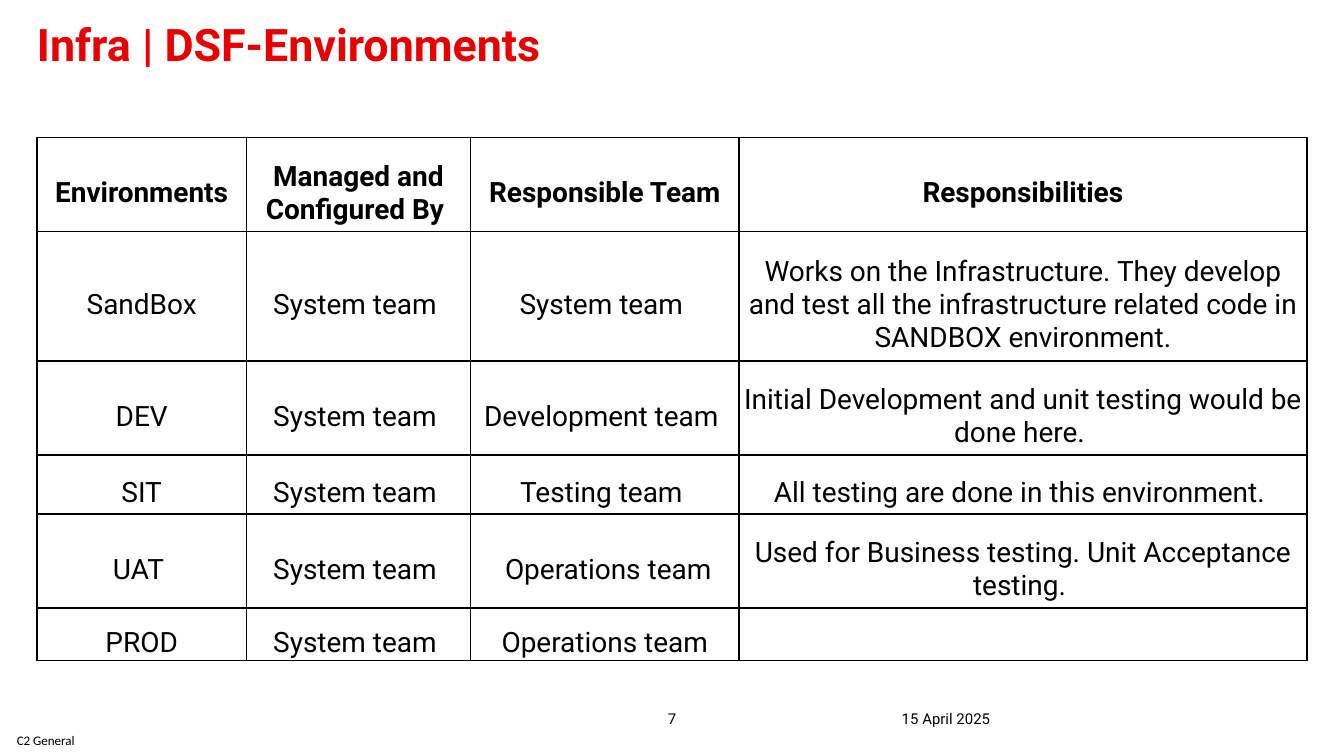
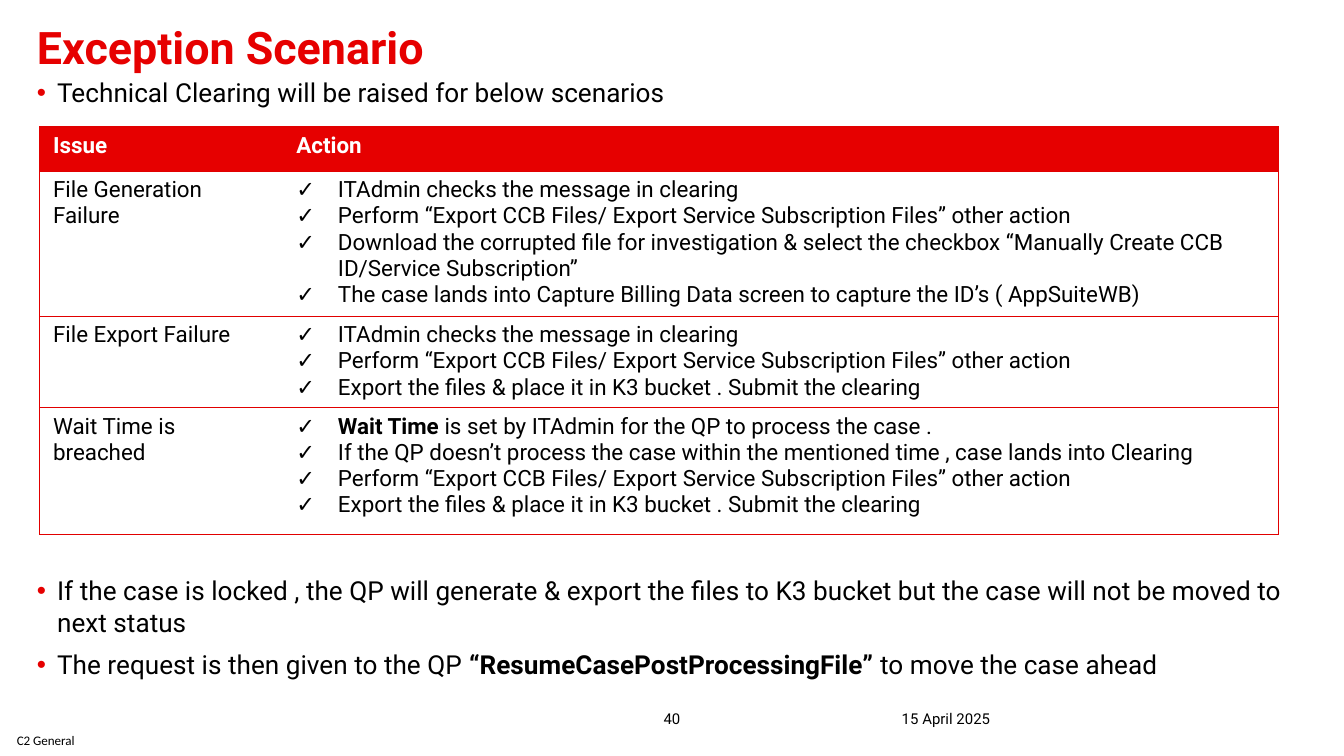
from lxml.etree import SubElement
from pptx import Presentation
from pptx.dml.color import RGBColor
from pptx.enum.text import MSO_ANCHOR, PP_ALIGN
from pptx.oxml.ns import qn
from pptx.util import Inches, Pt

ENVIRONMENTS = {
    "title": "Infra | DSF-Environments",
    "number": "7",
    "title_box": (2.75, 3.56, 71.5, 13),
    "table_box": (2.75, 18.2, 94.5, 69.2),
    "cols": [1.56, 1.67, 2, 4.23],
    "rows": [0.7, 0.96, 0.7, 0.44, 0.7, 0.39],
    "cells": [
        ["Environments", "Managed and Configured By ", "Responsible Team", "Responsibilities"],
        ["SandBox", "System team ", "System team ",
         "Works on the Infrastructure. They develop and test all the infrastructure "
         "related code in SANDBOX environment."],
        ["DEV", "System team ", "Development team ",
         "Initial Development and unit testing would be done here. "],
        ["SIT", "System team ", "Testing team ", "All testing are done in this environment. "],
        ["UAT ", "System team ", " Operations team",
         "Used for Business testing. Unit Acceptance testing. "],
        ["PROD", "System team ", "Operations team", ""],
    ],
}

CHECK = "ITAdmin checks the message in clearing"
PERFORM = "Perform “Export CCB Files/ Export Service Subscription Files” other action"
EXPORT = "Export the files & place it in K3 bucket . Submit the clearing"
EXCEPTIONS = {
    "title": "Exception Scenario",
    "number": "40",
    "title_box": (2.75, 4, 71.5, 6.05),
    "table_box": (2.95, 16.8, 92.2, 49.07),
    "cols": [1.81, 7.41],
    "rows": [0.33, 0.91, 0.58, 0.94],
    "cells": [
        ["Issue", "Action"],
        ["File Generation Failure", [
            CHECK, PERFORM,
            "Download the corrupted file for investigation & select the checkbox "
            "“Manually Create CCB ID/Service Subscription”",
            "The case lands into Capture Billing Data screen to capture the ID’s ( AppSuiteWB)"]],
        ["File Export Failure", [CHECK, PERFORM, EXPORT]],
        ["Wait Time is breached", [
            "*Wait Time *is set by ITAdmin for the QP to process the case .",
            "If the QP doesn’t process the case within the mentioned time , "
            "case lands into Clearing",
            PERFORM, EXPORT]],
    ],
    "notes": [
        ((2.75, 10.14, 94.5, 5.5), ["Technical Clearing will be raised for below scenarios"]),
        ((2.75, 76, 94.5, 15), [
            "If the case is locked , the QP will generate & export the files to K3 bucket "
            "but the case will not be moved to next status",
            "The request is then given to the QP *“ResumeCasePostProcessingFile” *"
            "to move the case ahead"]),
    ],
}

THEME = {
    "red": "E60000", "rule": "E10000", "black": "000000", "white": "FFFFFF",
    "font": "Roboto", "label_font": "Calibri",
    "title": 24, "note": 14, "footer": 8, "label": 7,
}
GRID_STYLE = {
    "size": 15, "head": "black", "fill": None, "rule": "black", "width": 1,
    "inner": True, "align": PP_ALIGN.CENTER, "anchor": MSO_ANCHOR.MIDDLE,
    "margins": (0.01, 0.13, 0.01, 0),
}
ISSUE_STYLE = {
    "size": 12, "head": "white", "fill": "red", "rule": "rule", "width": 0.75,
    "inner": False, "align": PP_ALIGN.LEFT, "anchor": MSO_ANCHOR.TOP,
    "margins": (0.1, 0.04, 0.1, 0.04),
}
FOOTERS = [
    ((0, 95.91, 6.8, 4.09), "C2 General", "label", "label_font", PP_ALIGN.CENTER, MSO_ANCHOR.MIDDLE),
    ((67.1, 91.64, 23.3, 4.63), "15 April 2025", "footer", "font", PP_ALIGN.LEFT, MSO_ANCHOR.BOTTOM),
    ((47.75, 91.64, 4.5, 4.63), None, "footer", "font", PP_ALIGN.CENTER, MSO_ANCHOR.BOTTOM),
]
MARGINS = ("margin_left", "margin_top", "margin_right", "margin_bottom")

prs = Presentation()
prs.slide_width = Inches(10)
prs.slide_height = prs.slide_width * 9 // 16


def assign(obj, **values):
    for name, value in values.items():
        setattr(obj, name, value)


def place(box):
    sides = (prs.slide_width, prs.slide_height) * 2
    return [int(side * share / 100) for side, share in zip(sides, box)]


def color(name):
    return RGBColor.from_string(THEME[name])


def bullet(p, char, indent, tint=None):
    pPr = p._p.get_or_add_pPr()
    pPr.set("marL", str(Inches(indent)))
    pPr.set("indent", str(-Inches(indent)))
    if tint:
        SubElement(SubElement(pPr, qn("a:buClr")), qn("a:srgbClr"), val=THEME[tint])
    SubElement(pPr, qn("a:buFont"), typeface="Arial")
    SubElement(pPr, qn("a:buChar"), char=char)


def write(tf, lines, size, ink="black", bold=False, font="font", mark=None, **layout):
    for i, line in enumerate(lines):
        p = tf.paragraphs[0] if i == 0 else tf.add_paragraph()
        assign(p, **layout)
        if mark:
            bullet(p, *mark)
        for j, part in enumerate(line.split("*")):
            if part:
                r = p.add_run()
                r.text = part
                assign(r.font, size=Pt(size), name=THEME[font], bold=bold or j % 2 == 1)
                r.font.color.rgb = color(ink)


def frame(sp, anchor):
    tf = sp.text_frame
    assign(tf, word_wrap=True, vertical_anchor=anchor, **dict.fromkeys(MARGINS, 0))
    return tf


def add_text(s, box, lines, size, anchor=MSO_ANCHOR.TOP, **fmt):
    write(frame(s.shapes.add_textbox(*place(box)), anchor), lines, size, **fmt)


def set_borders(cell, shown, style):
    tcPr = cell._tc.get_or_add_tcPr()
    for i, side in enumerate("LRTB"):
        ln = SubElement(tcPr, qn("a:ln" + side), w=str(Pt(style["width"])))
        if side in shown:
            fill = SubElement(ln, qn("a:solidFill"))
            SubElement(fill, qn("a:srgbClr"), val=THEME[style["rule"]])
        else:
            SubElement(ln, qn("a:noFill"))
        tcPr.insert(i, ln)


def add_grid(s, data, style):
    rows, cols = data["rows"], data["cols"]
    x, y, w, h = place(data["table_box"])
    table = s.shapes.add_table(len(rows), len(cols), x, y, w, h).table
    assign(table, first_row=False, horz_banding=False)
    for parts, items, name, total in ((cols, table.columns, "width", w),
                                      (rows, table.rows, "height", h)):
        for part, item in zip(parts, items):
            setattr(item, name, int(total * part / sum(parts)))
    for i, line in enumerate(data["cells"]):
        for j, content in enumerate(line):
            cell = table.cell(i, j)
            assign(cell, vertical_anchor=style["anchor"],
                   **dict(zip(MARGINS, map(Inches, style["margins"]))))
            if not content:
                cell.margin_top = 0
            head, listed = i == 0, isinstance(content, list)
            if head and style["fill"]:
                cell.fill.solid()
                cell.fill.fore_color.rgb = color(style["fill"])
            else:
                cell.fill.background()
            left = "L" if style["inner"] or j == 0 else ""
            right = "R" if style["inner"] or j == len(cols) - 1 else ""
            set_borders(cell, "TB" + left + right, style)
            write(cell.text_frame, content if listed else [content], style["size"],
                  ink=style["head"] if head else "black", bold=head,
                  mark=("✓", 0.31) if listed else None, alignment=style["align"])


def add_slide(data, style):
    s = prs.slides.add_slide(prs.slide_layouts[5])
    title = s.shapes.title
    assign(title, **dict(zip(("left", "top", "width", "height"), place(data["title_box"]))))
    write(frame(title, MSO_ANCHOR.TOP), [data["title"]], THEME["title"], ink="red",
          bold=True, alignment=PP_ALIGN.LEFT, line_spacing=0.8)
    for box, text, size, font, align, anchor in FOOTERS:
        add_text(s, box, [text or data["number"]], THEME[size], anchor, font=font, alignment=align)
    for box, lines in data.get("notes", []):
        add_text(s, box, lines, THEME["note"], mark=("•", 0.15, "red"), space_after=Pt(6))
    add_grid(s, data, style)


def main():
    add_slide(ENVIRONMENTS, GRID_STYLE)
    add_slide(EXCEPTIONS, ISSUE_STYLE)
    prs.save("out.pptx")


if __name__ == "__main__":
    main()
